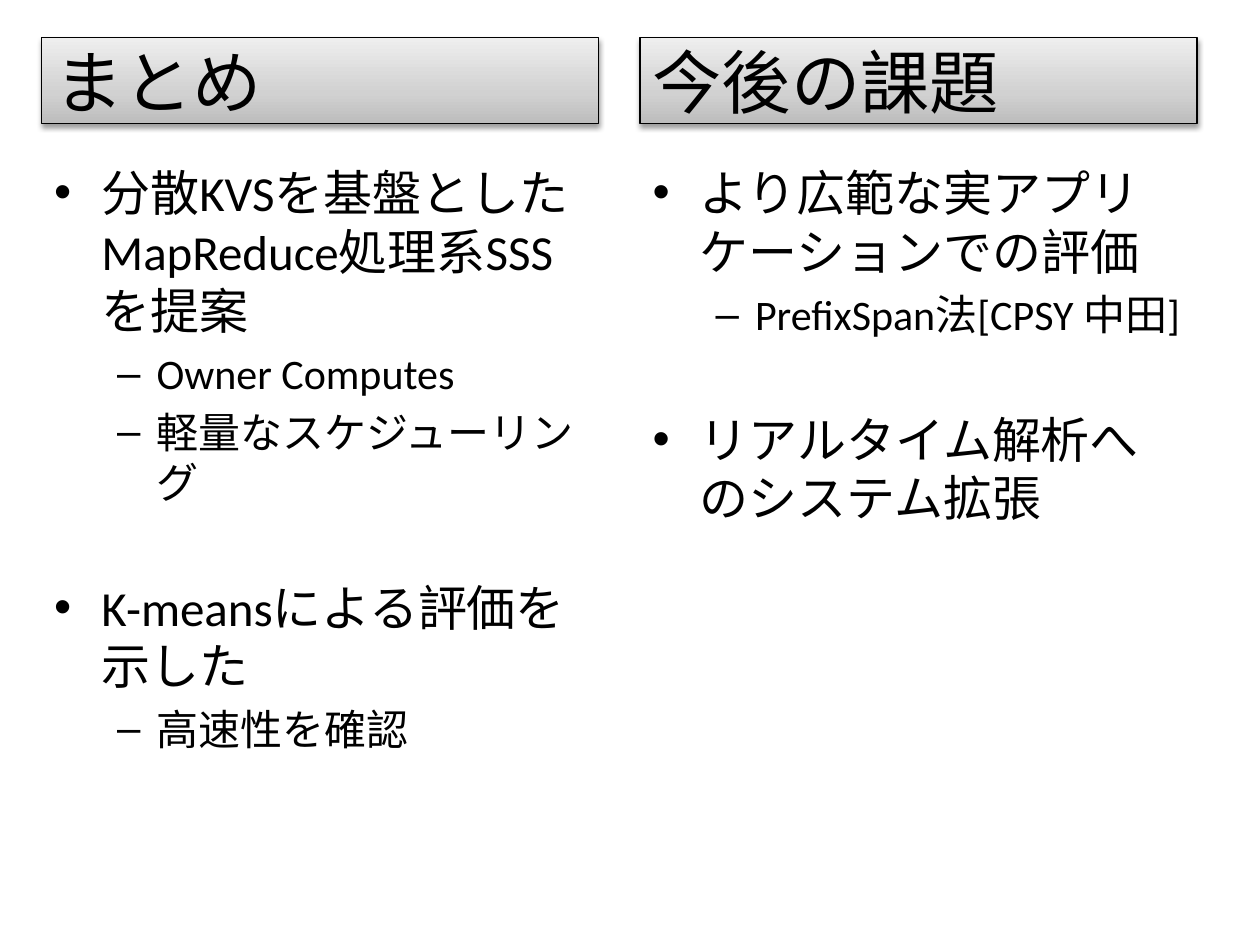
import copy
import lxml.etree
import pptx
import pptx.chart.data
import pptx.dml.color
import pptx.enum.shapes
import pptx.enum.text
import pptx.oxml
import pptx.oxml.ns
import pptx.util

BLACK = pptx.dml.color.RGBColor(0, 0, 0)
GRADIENT = [
    (0, pptx.dml.color.RGBColor(0xBD, 0xBD, 0xBD)),
    (0.35, pptx.dml.color.RGBColor(0xD1, 0xD1, 0xD1)),
    (1, pptx.dml.color.RGBColor(0xEE, 0xEE, 0xEE)),
]
FONT = "Calibri"
COLUMN_LEFTS = [0.33, 5.08]
COLUMN_WIDTH = 4.42
HEADING_ROW = (0.3, 0.68)
LIST_ROW = (1.24, 5.93)
LEVEL_SIZES = [28, 24]
GROUP_GAP = 40

SUMMARY = [
    [(0, "分散KVSを基盤としたMapReduce処理系SSSを提案"),
     (1, "Owner Computes"),
     (1, "軽量なスケジューリング")],
    [(0, "K-meansによる評価を示した"),
     (1, "高速性を確認")],
]
FUTURE_WORK = [
    [(0, "より広範な実アプリケーションでの評価"),
     (1, "PrefixSpan法[CPSY 中田]")],
    [(0, "リアルタイム解析へのシステム拡張")],
]


def place(box, column, row):
    box.left = pptx.util.Inches(COLUMN_LEFTS[column])
    box.width = pptx.util.Inches(COLUMN_WIDTH)
    box.top, box.height = (pptx.util.Inches(length) for length in row)


def add_span(para, text, size):
    span = para.add_run()
    span.text = text
    span.font.name = FONT
    span.font.size = pptx.util.Pt(size)
    span.font.color.rgb = BLACK


def fill_gradient(box):
    box.fill.gradient()
    box.fill.gradient_angle = 90
    stop_list = box.element.spPr.find(".//" + pptx.oxml.ns.qn("a:gsLst"))
    stop_list.insert(1, copy.deepcopy(stop_list[0]))
    for stop, (position, color) in zip(box.fill.gradient_stops, GRADIENT):
        stop.position = position
        stop.color.rgb = color


def add_shadow(box):
    box.shadow.inherit = False
    effects = box.element.spPr.find(pptx.oxml.ns.qn("a:effectLst"))
    shadow = lxml.etree.SubElement(
        effects, pptx.oxml.ns.qn("a:outerShdw"),
        blurRad="40000", dist="20000", dir="5400000", rotWithShape="0")
    color = lxml.etree.SubElement(shadow, pptx.oxml.ns.qn("a:srgbClr"), val=str(BLACK))
    lxml.etree.SubElement(color, pptx.oxml.ns.qn("a:alpha"), val="38000")


def format_heading(box, column, text):
    place(box, column, HEADING_ROW)
    fill_gradient(box)
    box.line.color.rgb = BLACK
    box.line.width = pptx.util.Pt(0.75)
    add_shadow(box)
    frame = box.text_frame
    frame.word_wrap = True
    frame.auto_size = pptx.enum.text.MSO_AUTO_SIZE.NONE
    frame.vertical_anchor = pptx.enum.text.MSO_ANCHOR.MIDDLE
    para = frame.paragraphs[0]
    para.alignment = pptx.enum.text.PP_ALIGN.LEFT
    add_span(para, text, 39.6)


def fill_list(box, column, groups):
    place(box, column, LIST_ROW)
    frame = box.text_frame
    for group_index, group in enumerate(groups):
        for item_index, (level, text) in enumerate(group):
            first = group_index == item_index == 0
            para = frame.paragraphs[0] if first else frame.add_paragraph()
            para.level = level
            if group_index and not item_index:
                para.space_before = pptx.util.Pt(GROUP_GAP)
            add_span(para, text, LEVEL_SIZES[level])


def main():
    deck = pptx.Presentation()
    deck.slide_width = pptx.util.Inches(10)
    deck.slide_height = pptx.util.Inches(7.5)
    page = deck.slides.add_slide(deck.slide_layouts.get_by_name("Two Content"))
    title, summary, future_work = list(page.placeholders)[:3]
    format_heading(title, 0, "まとめ")
    fill_list(summary, 0, SUMMARY)
    fill_list(future_work, 1, FUTURE_WORK)
    heading = page.shapes.add_shape(
        pptx.enum.shapes.MSO_SHAPE.RECTANGLE, 0, 0, 0, 0)
    format_heading(heading, 1, "今後の課題")
    deck.save("out.pptx")


main()
